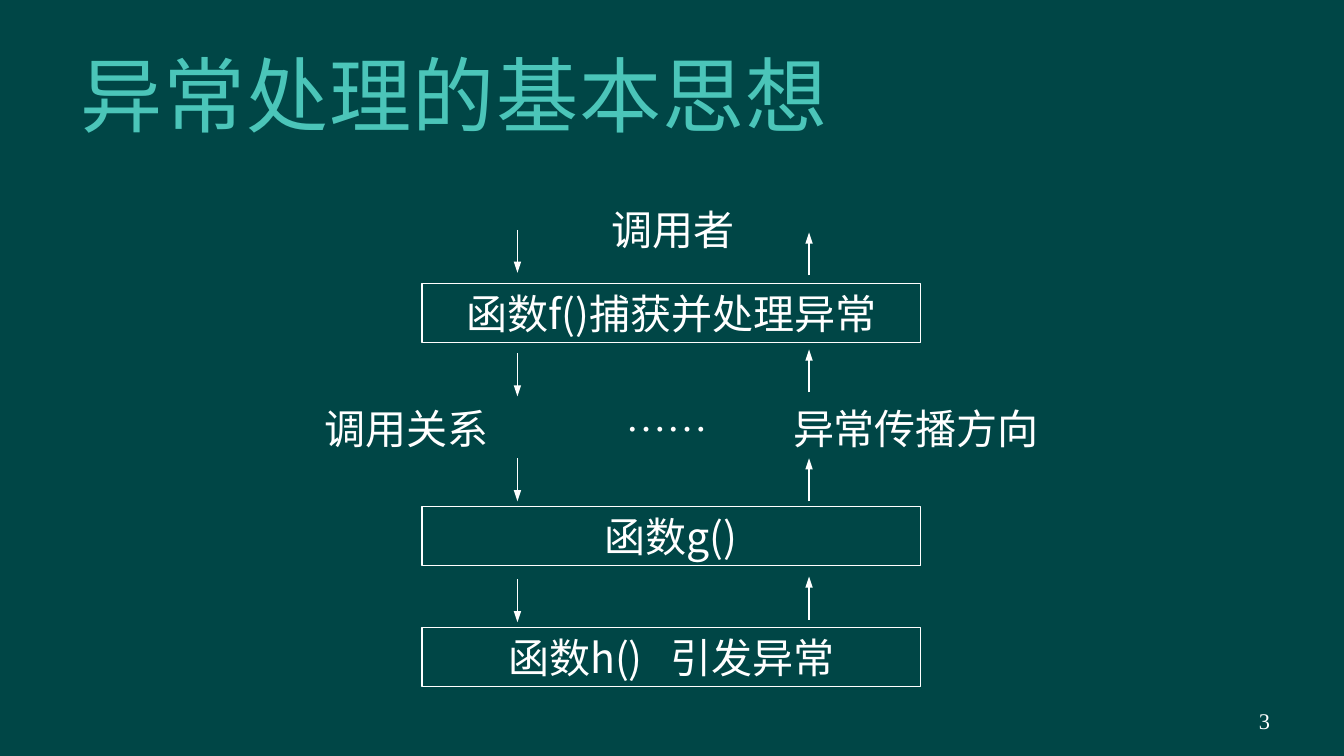
from lxml import etree
from pptx import Presentation
from pptx.dml.color import RGBColor
from pptx.enum.lang import MSO_LANGUAGE_ID
from pptx.enum.shapes import MSO_CONNECTOR, MSO_SHAPE
from pptx.enum.text import MSO_ANCHOR, PP_ALIGN
from pptx.oxml.ns import qn
from pptx.util import Inches, Pt

CENTER, RIGHT, LEFT = PP_ALIGN.CENTER, PP_ALIGN.RIGHT, PP_ALIGN.LEFT
MIDDLE = MSO_ANCHOR.MIDDLE
CHINESE = MSO_LANGUAGE_ID.SIMPLIFIED_CHINESE
RECTANGLE, STRAIGHT = MSO_SHAPE.RECTANGLE, MSO_CONNECTOR.STRAIGHT

# Content: each text is a list of (words, extra letter spacing in points); places are inches
TITLE = [("异常处理的基本思想", 0.5)]
PAGE_NUMBER = [("3", 0)]
FUNCTIONS = [
    ([("函数f()捕获并处理异常", 0)], 2.11),
    ([("函数g()", 0)], 3.77),
    ([("函数h()", 0), (" ", 9.9), ("引发异常", 0)], 4.67),
]
LABELS = [
    ([("调用者", 0)], (4.15, 1.56, 1.71, 0.29), "cjk"),
    ([("调用关系", 0)], (2.17, 3.04, 1.71, 0.29), "cjk"),
    ([("……", 0)], (3.35, 2.92, 3.22, 0.34), "serif"),
    ([("异常传播方向", 0)], (5.89, 3.04, 1.85, 0.29), "cjk"),
]
CALL_X, CALL_TOPS = 3.85, (1.71, 2.63, 3.41, 4.31)
RAISE_X, RAISE_TOPS = 6.02, (1.73, 2.6, 3.41, 4.29)
BOX_LEFT, BOX_WIDTH, BOX_HEIGHT, ARROW_LENGTH = 3.14, 3.71, 0.44, 0.32
PAGE_WIDTH = 10
PAGE_HEIGHT = PAGE_WIDTH * 9 / 16

THEME = {
    "background": RGBColor(0x00, 0x46, 0x46),
    "title": RGBColor(0x4B, 0xC5, 0xB9),
    "white": RGBColor(0xFF, 0xFF, 0xFF),
    "title_size": 44, "body_size": 22, "number_size": 12, "line": 0.75,
    "heading": "Lato", "cjk": "Noto Sans CJK SC", "serif": "Times New Roman",
}


def inches(*lengths):
    return [Inches(length) for length in lengths]


# Deck and page
deck = Presentation()
deck.slide_width, deck.slide_height = inches(PAGE_WIDTH, PAGE_HEIGHT)
page = deck.slides.add_slide(deck.slide_layouts[5])
page.background.fill.solid()
page.background.fill.fore_color.rgb = THEME["background"]


def write(shape, spans, size="body_size", font="cjk", color="white", align=CENTER, insets=(0, 0)):
    frame = shape.text_frame
    frame.word_wrap = True
    frame.vertical_anchor = MIDDLE
    frame.margin_left = frame.margin_right = Inches(insets[0])
    frame.margin_top = frame.margin_bottom = Inches(insets[1])
    para = frame.paragraphs[0]
    para.alignment = align
    for words, spacing in spans:
        span = para.add_run()
        span.text = words
        span.font.size = Pt(THEME[size])
        span.font.name = THEME[font]
        span.font.color.rgb = THEME[color]
        span.font.language_id = CHINESE
        properties = span.font._element
        east_asian = etree.Element(qn("a:ea"), typeface=THEME["cjk"])
        properties.find(qn("a:latin")).addnext(east_asian)
        if spacing:
            properties.set("spc", str(round(spacing * 100)))


def add_arrow(x, start, end):
    arrow = page.shapes.add_connector(STRAIGHT, *inches(x, start, x, end))
    arrow.line.color.rgb = THEME["white"]
    arrow.line.width = Pt(THEME["line"])
    line = arrow.line._get_or_add_ln()
    etree.SubElement(line, qn("a:tailEnd"), type="triangle", w="sm", len="med")
    etree.SubElement(arrow._element.spPr, qn("a:effectLst"))


# Title and page number
title = page.shapes.title
title.left, title.top, title.width, title.height = inches(0.5, 0.23, 8.5, 0.94)
write(title, TITLE, "title_size", "heading", "title", LEFT, (0.1, 0.05))
number = page.shapes.add_textbox(*inches(7.17, 5.21, 2.33, 0.3))
write(number, PAGE_NUMBER, "number_size", "serif", align=RIGHT, insets=(0.05, 0.05))

# Function boxes
for spans, top in FUNCTIONS:
    box = page.shapes.add_shape(RECTANGLE, *inches(BOX_LEFT, top, BOX_WIDTH, BOX_HEIGHT))
    box.shadow.inherit = False
    box.fill.background()
    box.line.color.rgb = THEME["white"]
    box.line.width = Pt(THEME["line"])
    write(box, spans, insets=(0.1, 0))

# Calls go down, exceptions go up
for top in CALL_TOPS:
    add_arrow(CALL_X, top, top + ARROW_LENGTH)
for top in RAISE_TOPS:
    add_arrow(RAISE_X, top + ARROW_LENGTH, top)

# Labels
for spans, place, font in LABELS:
    write(page.shapes.add_textbox(*inches(*place)), spans, font=font)

deck.save("out.pptx")
